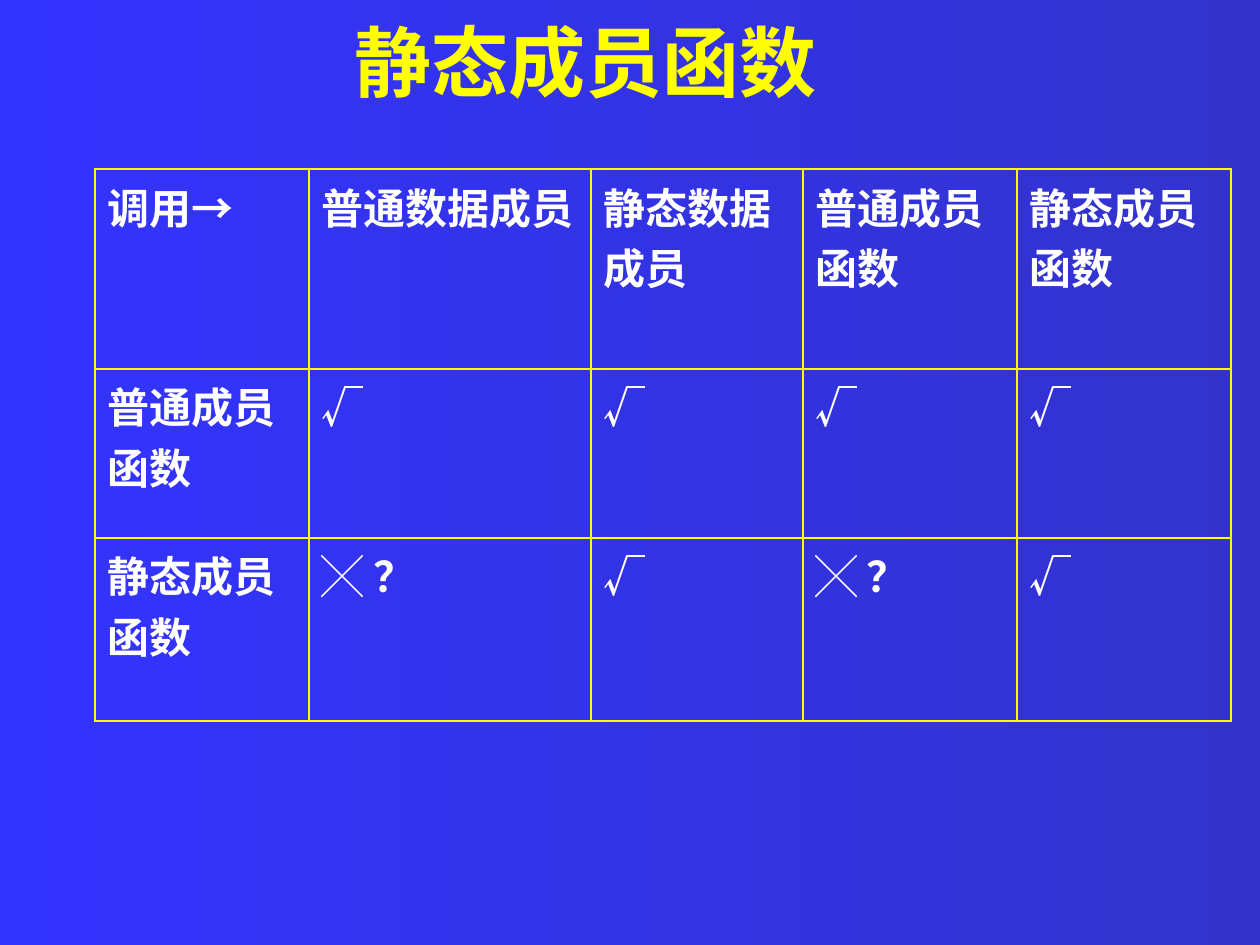
from lxml.etree import SubElement
from pptx import Presentation
from pptx.dml.color import RGBColor
from pptx.enum.text import MSO_ANCHOR, PP_ALIGN
from pptx.oxml.ns import qn
from pptx.util import Emu, Pt

SERIF, SANS = "Times New Roman", "Noto Sans CJK SC"
YELLOW, WHITE = "FFFF00", "FFFFFF"
BACKGROUND = ["3333FF", "3333CC"]
TITLE = "静态成员函数 "
CALLS = [
    ["调用→", "普通数据成员", "静态数据成员", "普通成员函数", "静态成员函数"],
    ["普通成员函数", "√", "√", "√", "√"],
    ["静态成员函数", "╳ ？", "√", "╳ ？", "√"],
]
SANS_TEXTS = {"调用→", "√", "╳ ？"}
COLUMN_WIDTHS = [214, 282, 212, 214, 214]
ROW_HEIGHTS = [200, 169, 183]


def px(length):
    return Emu(round(length * 914400 / 126))


def color(value):
    return RGBColor.from_string(value)


def style(paragraph, size, face, ink):
    for run in paragraph.runs:
        font = run.font
        font.size, font.bold, font.name = Pt(size), True, face
        font.color.rgb = color(ink)
        SubElement(run._r.get_or_add_rPr(), qn("a:ea"), typeface=SANS)


def add_borders(cell):
    properties = cell._tc.get_or_add_tcPr()
    for index, side in enumerate(("lnL", "lnR", "lnT", "lnB")):
        border = SubElement(properties, qn(f"a:{side}"), w=str(Pt(1)))
        fill = SubElement(border, qn("a:solidFill"))
        SubElement(fill, qn("a:srgbClr"), val=YELLOW)
        properties.insert(index, border)


presentation = Presentation()
presentation.slide_width, presentation.slide_height = px(1260), px(945)
slide = presentation.slides.add_slide(presentation.slide_layouts[6])

background = slide.background.fill
background.gradient()
background.gradient_angle = 0
for stop, shade in zip(background.gradient_stops, BACKGROUND):
    stop.color.rgb = color(shade)

title = slide.shapes.add_textbox(px(-35), px(16), px(1260), px(90)).text_frame
title.word_wrap = True
title.vertical_anchor = MSO_ANCHOR.MIDDLE
title.text = TITLE
title.paragraphs[0].alignment = PP_ALIGN.CENTER
style(title.paragraphs[0], 44, SERIF, YELLOW)

calls = slide.shapes.add_table(
    len(CALLS), len(COLUMN_WIDTHS), px(95), px(169),
    px(sum(COLUMN_WIDTHS)), px(sum(ROW_HEIGHTS))).table
calls.first_row = calls.horz_banding = False
for column, width in zip(calls.columns, COLUMN_WIDTHS):
    column.width = px(width)
for row, height, texts in zip(calls.rows, ROW_HEIGHTS, CALLS):
    row.height = px(height)
    for cell, text in zip(row.cells, texts):
        cell.text = text
        cell.fill.background()
        add_borders(cell)
        face = SANS if text in SANS_TEXTS else SERIF
        style(cell.text_frame.paragraphs[0], 24, face, WHITE)

presentation.save("out.pptx")
